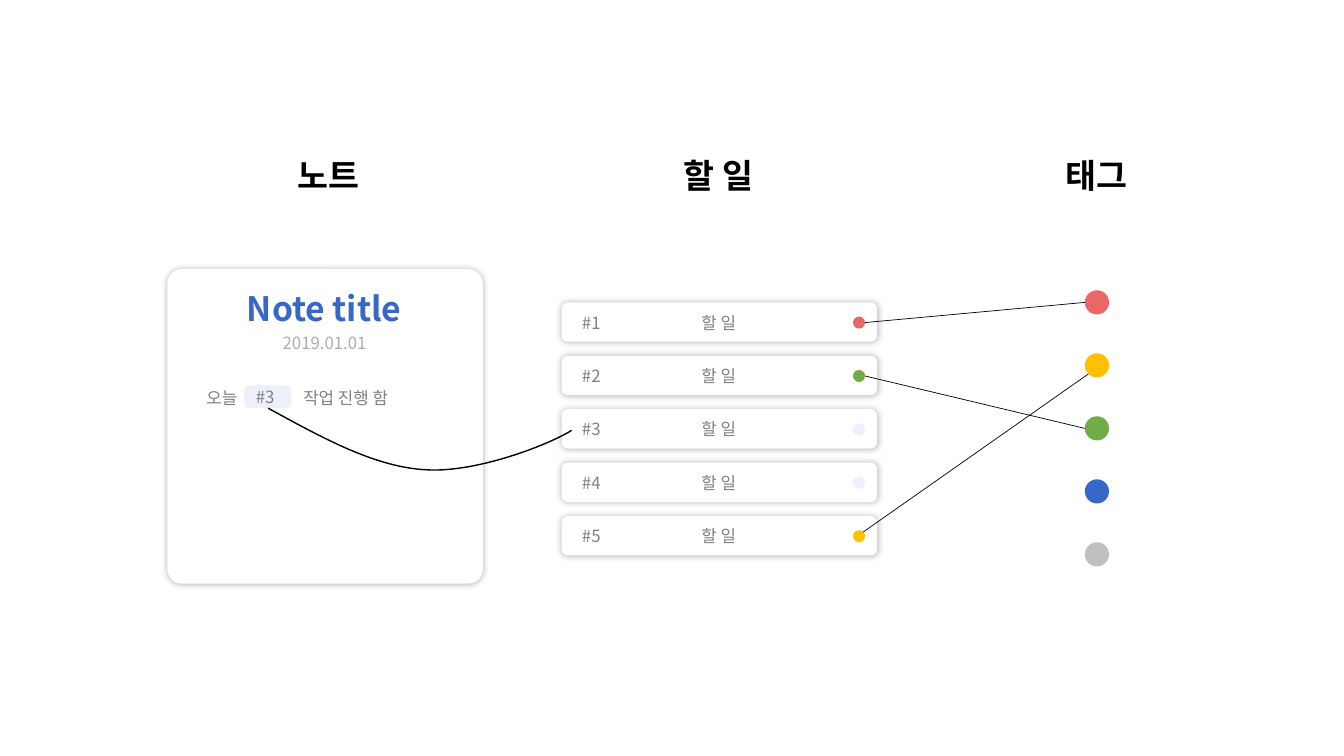
import math
import pptx
import pptx.util
import pptx.dml.color
import pptx.enum.shapes
import pptx.enum.text
import pptx.oxml
import pptx.oxml.ns

Inches = pptx.util.Inches
RGBColor = pptx.dml.color.RGBColor
Shapes = pptx.enum.shapes.MSO_SHAPE
Align = pptx.enum.text.PP_ALIGN

BLACK = RGBColor(0x00, 0x00, 0x00)
WHITE = RGBColor(0xFF, 0xFF, 0xFF)
RED = RGBColor(0xEB, 0x67, 0x67)
YELLOW = RGBColor(0xFF, 0xC0, 0x00)
GREEN = RGBColor(0x70, 0xAD, 0x47)
BLUE = RGBColor(0x37, 0x68, 0xC7)
SILVER = RGBColor(0xBF, 0xBF, 0xBF)
PALE = RGBColor(0xED, 0xF0, 0xFA)
GRAY = RGBColor(0x80, 0x80, 0x80)
DATE_GRAY = RGBColor(0xAF, 0xAB, 0xAB)

FONT = "Noto Sans CJK KR"
NAMESPACE = pptx.oxml.ns.nsdecls("a")
SHADOW = (
    f'<a:effectLst {NAMESPACE}><a:outerShdw blurRad="63500" dist="0" dir="0" algn="ctr" '
    'rotWithShape="0"><a:srgbClr val="000000"><a:alpha val="30000"/></a:srgbClr>'
    "</a:outerShdw></a:effectLst>"
)
TAG_COLORS = [RED, YELLOW, GREEN, BLUE, SILVER]
TASK_COLORS = [RED, GREEN, PALE, PALE, YELLOW]
TASK_PITCH = 0.53
TAG_PITCH = 0.625
TASK_DOT = 0.12
TAG_DOT = 0.24


def style_text(shape, text, size, color, bold=False, align=Align.CENTER):
    """Write one formatted paragraph into a shape and return it."""
    shape.text_frame.word_wrap = True
    paragraph = shape.text_frame.paragraphs[0]
    paragraph.text = text
    paragraph.alignment = align
    for run in paragraph.runs:
        run.font.size = pptx.util.Pt(size)
        run.font.bold = bold
        run.font.name = FONT
        run.font.color.rgb = color
        run.font._element.append(
            pptx.oxml.parse_xml(f'<a:ea {NAMESPACE} typeface="{FONT}"/>'))
    return paragraph


def add_text(slide, left, top, width, height, text, size, color, **options):
    """Add a text box that grows with its text."""
    box = slide.shapes.add_textbox(*map(Inches, (left, top, width, height)))
    box.text_frame.auto_size = pptx.enum.text.MSO_AUTO_SIZE.SHAPE_TO_FIT_TEXT
    return style_text(box, text, size, color, **options)


def add_filled(slide, kind, left, top, width, height, color):
    """Add a plain filled shape without outline or shadow."""
    shape = slide.shapes.add_shape(kind, *map(Inches, (left, top, width, height)))
    shape.shadow.inherit = False
    shape.fill.solid()
    shape.fill.fore_color.rgb = color
    shape.line.fill.background()
    return shape


def add_card(slide, left, top, width, height, rounding):
    """Add a white rounded card with a soft glow-like shadow."""
    card = add_filled(slide, Shapes.ROUNDED_RECTANGLE, left, top, width, height, WHITE)
    card.adjustments[0] = rounding
    properties = card._element.spPr
    properties.remove(properties.find(pptx.oxml.ns.qn("a:effectLst")))
    properties.append(pptx.oxml.parse_xml(SHADOW))


def add_heading(slide, left, top, text):
    """Add a column heading."""
    add_text(slide, left, top, 2.11, 0.5, text, 24, BLACK, bold=True)


def add_tags(slide, left, top):
    """Add the column of tag dots and return their centres."""
    centers = []
    for index, color in enumerate(TAG_COLORS):
        dot_top = top + index * TAG_PITCH
        add_filled(slide, Shapes.OVAL, left, dot_top, TAG_DOT, TAG_DOT, color)
        centers.append((left + TAG_DOT / 2, dot_top + TAG_DOT / 2))
    return centers


def add_tasks(slide, left, top, width, height):
    """Add the task rows and return the centres of their dots."""
    centers = []
    for index, color in enumerate(TASK_COLORS):
        row_top = top + index * TASK_PITCH
        dot_left, dot_top = left + width - 0.24, row_top + 0.14
        add_card(slide, left, row_top, width, height, 0.157)
        add_text(slide, left + 0.74, row_top + 0.05, 1.64, 0.3, "할 일", 12, GRAY)
        add_text(slide, left + 0.06, row_top + 0.05, 0.47, 0.3, f"#{index + 1}", 12, GRAY)
        add_filled(slide, Shapes.OVAL, dot_left, dot_top, TASK_DOT, TASK_DOT, color)
        centers.append((dot_left + TASK_DOT / 2, dot_top + TASK_DOT / 2))
    return centers


def add_link(slide, task_center, tag_center, degrees):
    """Join the rims of a task dot and a tag dot, leaving at the given angle."""
    across, up = math.cos(math.radians(degrees)), math.sin(math.radians(degrees))
    start = (task_center[0] + across * TASK_DOT / 2, task_center[1] - up * TASK_DOT / 2)
    end = (tag_center[0] - across * TAG_DOT / 2, tag_center[1] + up * TAG_DOT / 2)
    link = slide.shapes.add_connector(
        pptx.enum.shapes.MSO_CONNECTOR.STRAIGHT, *map(Inches, start + end))
    link.line.color.rgb = BLACK
    link.line.width = pptx.util.Pt(0.5)
    link._element.spPr.append(pptx.oxml.parse_xml(f"<a:effectLst {NAMESPACE}/>"))


def add_note(slide, left, top, width, height):
    """Add the note card with its title, date and body line."""
    add_card(slide, left, top, width, height, 0.046)
    add_text(slide, left + 0.5, top + 0.14, 2.11, 0.5, "Note title", 24, BLUE, bold=True)
    add_text(slide, left + 0.74, top + 0.58, 1.64, 0.3, "2019.01.01", 12, DATE_GRAY)
    body = add_text(slide, left + 0.29, top + 1.13, 2.6, 0.3, "오늘\t작업 진행 함",
                    12, GRAY, align=Align.LEFT)
    body._p.get_or_add_pPr().append(pptx.oxml.parse_xml(
        f'<a:tabLst {NAMESPACE}><a:tab pos="{Inches(0.96)}" algn="l"/></a:tabLst>'))
    chip = add_filled(slide, Shapes.ROUNDED_RECTANGLE,
                      left + 0.77, top + 1.16, 0.45, 0.21, PALE)
    chip.line.color.rgb = PALE
    chip.line.width = pptx.util.Pt(1)
    chip.text_frame.vertical_anchor = pptx.enum.text.MSO_ANCHOR.MIDDLE
    style_text(chip, "#3", 12, GRAY, align=Align.LEFT)


def bezier_points(start, first, second, end, steps=24):
    """Return points along a cubic curve in slide units, without its start."""
    points = []
    for step in range(1, steps + 1):
        t = step / steps
        weights = ((1 - t) ** 3, 3 * t * (1 - t) ** 2, 3 * t ** 2 * (1 - t), t ** 3)
        points.append(tuple(
            Inches(sum(weight * value for weight, value in zip(weights, values)))
            for values in zip(start, first, second, end)))
    return points


def add_reference_curve(slide, start, middle, end):
    """Draw the curve from the note's chip to the task it mentions."""
    points = bezier_points(start, (3.19, 4.34), (3.71, 4.63), middle)
    points += bezier_points(middle, (4.71, 4.7), (5.45, 4.41), end)
    builder = slide.shapes.build_freeform(*map(Inches, start))
    builder.add_line_segments(points, close=False)
    curve = builder.convert_to_shape()
    curve.shadow.inherit = False
    curve.fill.background()
    curve.line.color.rgb = BLACK
    curve.line.width = pptx.util.Pt(1)


def main():
    """Build the slide and save it."""
    presentation = pptx.Presentation()
    presentation.slide_width = Inches(13.33)
    presentation.slide_height = Inches(7.5)
    slide = presentation.slides.add_slide(presentation.slide_layouts[6])
    tags = add_tags(slide, 10.76, 2.88)
    tasks = add_tasks(slide, 5.57, 3, 3.13, 0.39)
    for task, tag, degrees in ((0, 0, 0), (1, 2, 0), (4, 1, 45)):
        add_link(slide, tasks[task], tags[tag], degrees)
    add_note(slide, 1.66, 2.67, 3.13, 3.12)
    add_reference_curve(slide, (2.66, 4.05), (4.21, 4.66), (5.67, 4.27))
    for left, text in ((2.2, "노트"), (6.07, "할 일"), (9.82, "태그")):
        add_heading(slide, left, 1.49, text)
    presentation.save("out.pptx")


if __name__ == "__main__":
    main()
